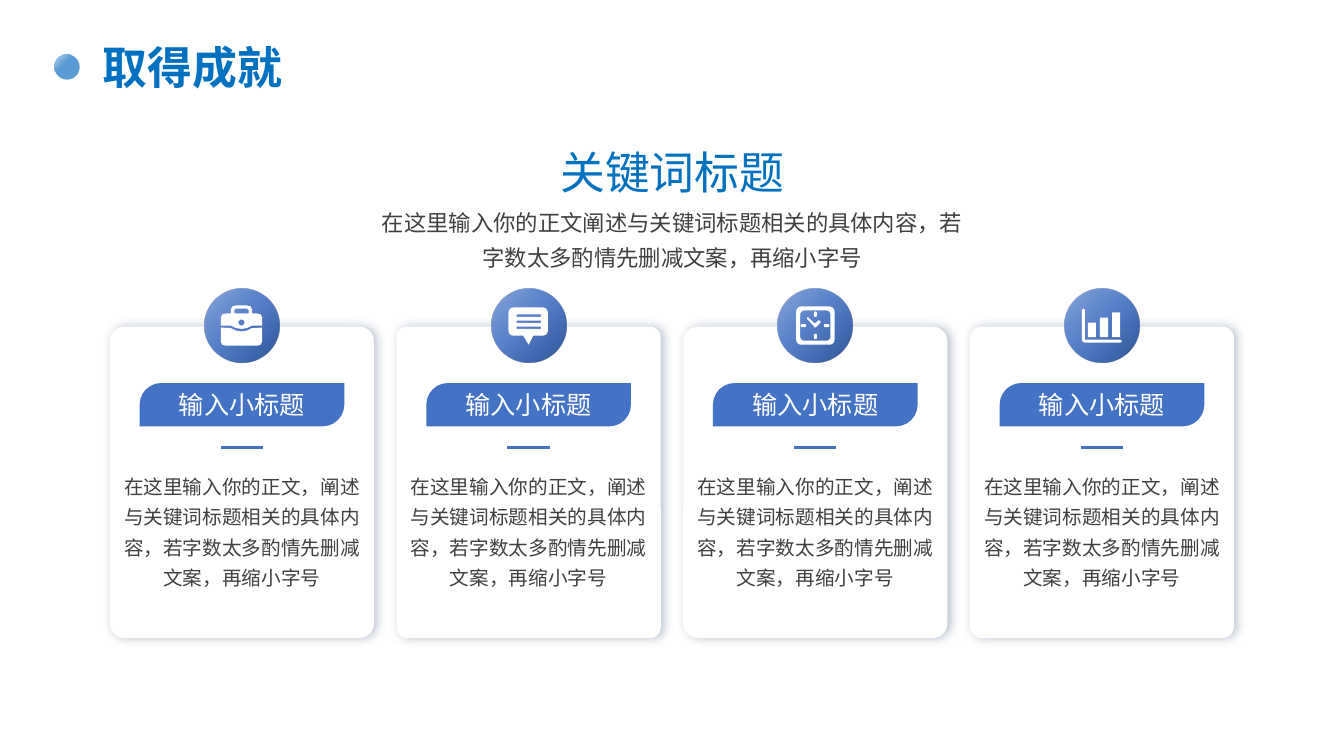
import math

import lxml.etree
import pptx
import pptx.dml.color
import pptx.enum.shapes
import pptx.enum.text
import pptx.oxml.ns
import pptx.util

RGBColor = pptx.dml.color.RGBColor
Inches = pptx.util.Inches
SHAPE = pptx.enum.shapes.MSO_SHAPE
ALIGN = pptx.enum.text.PP_ALIGN
qn = pptx.oxml.ns.qn

TITLE_BLUE = RGBColor(0x00, 0x70, 0xC0)
BAND_BLUE = RGBColor(0x44, 0x72, 0xC4)
DEEP_BLUE = RGBColor(0x2F, 0x55, 0x97)
PALE_BLUE = RGBColor(0x8F, 0xAA, 0xDC)
DOT_LIGHT = RGBColor(0xBD, 0xD7, 0xEE)
DOT_BLUE = RGBColor(0x5B, 0x9B, 0xD5)
SHADOW_NAVY = RGBColor(0x20, 0x38, 0x64)
BODY_GREY = RGBColor(0x40, 0x40, 0x40)
WHITE = RGBColor(0xFF, 0xFF, 0xFF)

FONT = "Noto Sans CJK SC"
CARD_TEXT = "在这里输入你的正文，阐述与关键词标题相关的具体内容，若字数太多酌情先删减文案，再缩小字号"
INTRO_TEXT = "在这里输入你的正文阐述与关键词标题相关的具体内容，若字数太多酌情先删减文案，再缩小字号"

BADGE = 0.74          # diameter of the icon circle
ICON_UNIT = 9144      # icon outlines are in hundredths of an inch


def rounded(x, y, w, h, r=0):
    """Corner points of a rectangle with radius r."""
    if not r:
        return [(x, y), (x + w, y), (x + w, y + h), (x, y + h)]
    corners = [(x + w - r, y + h - r, 0), (x + r, y + h - r, 90),
               (x + r, y + r, 180), (x + w - r, y + r, 270)]
    return [(cx + r * math.cos(math.radians(start + step)),
             cy + r * math.sin(math.radians(start + step)))
            for cx, cy, start in corners for step in range(0, 91, 15)]


# Each icon is a list of outlines; each outline is a list of contours
SAG = [(26, 37), (31, 39.5), (36.5, 40.3), (42, 39.5), (47, 37)]
BRIEFCASE = [
    [[(16, 39), *[(x, y + 2.5) for x, y in SAG], (57, 39), (57, 53),
      (55.5, 56), (52, 57), (21, 57), (17.5, 56), (16, 53)],],
    [[(16, 37), (16, 29), (17.5, 26), (21, 25), (26, 25), (26, 21), (27.5, 18),
      (31, 17), (42, 17), (45.5, 18), (47, 21), (47, 25), (52, 25), (55.5, 26),
      (57, 29), (57, 37), *reversed(SAG)],
     [(29.5, 25), (29.5, 21.5), (31, 20.3), (42, 20.3), (43.5, 21.5), (43.5, 25)],
     rounded(33.5, 31, 6, 6, 3)],
]
SPEECH = [
    [[(31, 46), (42, 46), (37, 56)]],
    [rounded(17, 19, 39, 28, 5)] + [rounded(25, y, 24, 2.4) for y in (26, 32, 38)],
]
CLOCK = [
    [rounded(18, 18, 38, 38, 5), rounded(22, 22, 30, 30, 4),
     rounded(35.5, 23, 3, 5.5, 1.5), rounded(35.5, 45, 3, 5.5, 1.5),
     rounded(22.5, 35.5, 5.5, 3, 1.5), rounded(45.5, 35.5, 5.5, 3, 1.5),
     [(29.5, 28.5), (36.5, 35), (40.5, 31.5), (42.5, 33.5), (38.5, 38),
      (36.5, 39), (35, 37), (28.5, 30)]],
]
BARS = [[rounded(23 + 12 * n, 34 - 5 * n, 8, 14.5 + 5 * n, 0.6)] for n in range(3)]
CHART = BARS + [
    [[(17, 21.5), (18.5, 20), (20, 21.5), (20, 51), (55, 51), (56.8, 52.5),
      (55, 54), (20, 54), (17.8, 53), (17, 51)]],
]


def add_xml(parent, tag, **attributes):
    return lxml.etree.SubElement(parent, qn(tag), attributes)


def write(frame, words, size, color, align=ALIGN.CENTER, spacing=None, bold=False):
    paragraph = frame.paragraphs[0]
    paragraph.alignment = align
    if spacing:
        paragraph.line_spacing = spacing
    run = paragraph.add_run()
    run.text = words
    run.font.size = pptx.util.Pt(size)
    run.font.bold = bold
    run.font.color.rgb = color
    run.font.name = FONT
    add_xml(run.font._element, "a:ea", typeface=FONT)


def add_text(slide, box, words, size, color, spacing=None, wrap=True):
    frame = slide.shapes.add_textbox(*map(Inches, box)).text_frame
    frame.word_wrap = wrap
    frame.auto_size = pptx.enum.text.MSO_AUTO_SIZE.SHAPE_TO_FIT_TEXT
    write(frame, words, size, color, spacing=spacing)


def paint(shape, color):
    shape.shadow.inherit = False
    shape.fill.solid()
    shape.fill.fore_color.rgb = color
    shape.line.fill.background()


def add_panel(slide, kind, box, color):
    panel = slide.shapes.add_shape(kind, *map(Inches, box))
    paint(panel, color)
    return panel


def glow(shape, stops, focus):
    """Radial gradient; stops are (percent, colour, opacity percent)."""
    shape.fill.gradient()
    gradient = shape._element.spPr.find(qn("a:gradFill"))
    for part in list(gradient):
        gradient.remove(part)
    stop_list = add_xml(gradient, "a:gsLst")
    for percent, color, opacity in stops:
        stop = add_xml(stop_list, "a:gs", pos=str(percent * 1000))
        tint = add_xml(stop, "a:srgbClr", val=str(color))
        add_xml(tint, "a:alpha", val=str(opacity * 1000))
    add_xml(add_xml(gradient, "a:path", path="circle"), "a:fillToRect",
            **{side: "100000" for side in focus})


def cast_shadow(shape):
    effects = shape._element.spPr.find(qn("a:effectLst"))
    shadow = add_xml(effects, "a:outerShdw", blurRad=str(pptx.util.Pt(7)),
                     dist=str(pptx.util.Pt(2)), dir="0", algn="l", rotWithShape="0")
    color = add_xml(shadow, "a:srgbClr", val=str(SHADOW_NAVY))
    add_xml(color, "a:alpha", val="30000")


def add_icon(slide, left, top, outlines):
    for contours in outlines:
        scaled = [[(x * ICON_UNIT, y * ICON_UNIT) for x, y in c] for c in contours]
        builder = slide.shapes.build_freeform(*scaled[0][0])
        builder.add_line_segments(scaled[0][1:], close=True)
        for hole in scaled[1:]:
            builder.move_to(*hole[0])
            builder.add_line_segments(hole[1:], close=True)
        paint(builder.convert_to_shape(Inches(left), Inches(top)), WHITE)


def add_header(slide, left, top):
    dot = add_panel(slide, SHAPE.OVAL, (left, top + 0.14, 0.25, 0.25), DOT_BLUE)
    glow(dot, [(0, DOT_LIGHT, 100), (38, DOT_BLUE, 100), (85, DOT_BLUE, 100)], "rb")
    title = slide.shapes.title
    title.left, title.top = Inches(left + 0.38), Inches(top)
    title.width, title.height = Inches(2.19), Inches(0.59)
    title.text_frame.vertical_anchor = pptx.enum.text.MSO_ANCHOR.MIDDLE
    write(title.text_frame, "取得成就", 32, TITLE_BLUE, ALIGN.LEFT, 0.9, True)


def add_intro(slide, left, top, width):
    add_text(slide, (left + (width - 2.45) / 2, top, 2.45, 0.64),
             "关键词标题", 32, TITLE_BLUE, wrap=False)
    add_text(slide, (left, top + 0.56, width, 0.78), INTRO_TEXT, 16, BODY_GREY, 1.3)


def add_card(slide, left, top, width, height, corner, icon):
    middle = left + width / 2
    card = add_panel(slide, SHAPE.ROUNDED_RECTANGLE, (left, top, width, height), WHITE)
    card.adjustments[0] = corner
    cast_shadow(card)

    # Icon badge straddling the top edge
    badge_left, badge_top = middle - BADGE / 2, top - BADGE / 2 - 0.01
    badge = add_panel(slide, SHAPE.OVAL, (badge_left, badge_top, BADGE, BADGE), BAND_BLUE)
    glow(badge, [(0, DEEP_BLUE, 100), (57, BAND_BLUE, 88), (100, PALE_BLUE, 100)], "lt")
    add_icon(slide, badge_left, badge_top, icon)

    # Subtitle band
    band = add_panel(slide, SHAPE.ROUND_2_DIAG_RECTANGLE,
                     (middle - 1.015, top + 0.56, 2.03, 0.43), BAND_BLUE)
    band.adjustments[0], band.adjustments[1] = 0.5, 0
    frame = band.text_frame
    frame.margin_left = frame.margin_right = frame.margin_top = frame.margin_bottom = 0
    frame.vertical_anchor = pptx.enum.text.MSO_ANCHOR.MIDDLE
    write(frame, "输入小标题", 18, WHITE)

    # Short rule and body text
    rule_y = Inches(top + 1.2)
    rule = slide.shapes.add_connector(
        pptx.enum.shapes.MSO_CONNECTOR.STRAIGHT,
        Inches(middle - 0.21), rule_y, Inches(middle + 0.21), rule_y)
    rule.line.color.rgb = BAND_BLUE
    rule.line.width = pptx.util.Pt(2)
    add_xml(rule._element.spPr, "a:effectLst")
    add_text(slide, (left + 0.04, top + 1.35, width - 0.08, 1.31),
             CARD_TEXT, 14, BODY_GREY, 1.3)


def main():
    deck = pptx.Presentation()
    deck.slide_width, deck.slide_height = Inches(13.33), Inches(7.5)
    slide = deck.slides.add_slide(deck.slide_layouts[5])
    add_header(slide, 0.54, 0.4)
    add_intro(slide, 3.6, 1.39, 6.14)
    first, last = 1.09, 9.62
    cards = [(0.056, BRIEFCASE), (0.04, SPEECH), (0.056, CLOCK), (0.045, CHART)]
    pitch = (last - first) / (len(cards) - 1)
    for column, (corner, icon) in enumerate(cards):
        add_card(slide, first + column * pitch, 3.24, 2.62, 3.09, corner, icon)
    deck.save("out.pptx")


if __name__ == "__main__":
    main()
